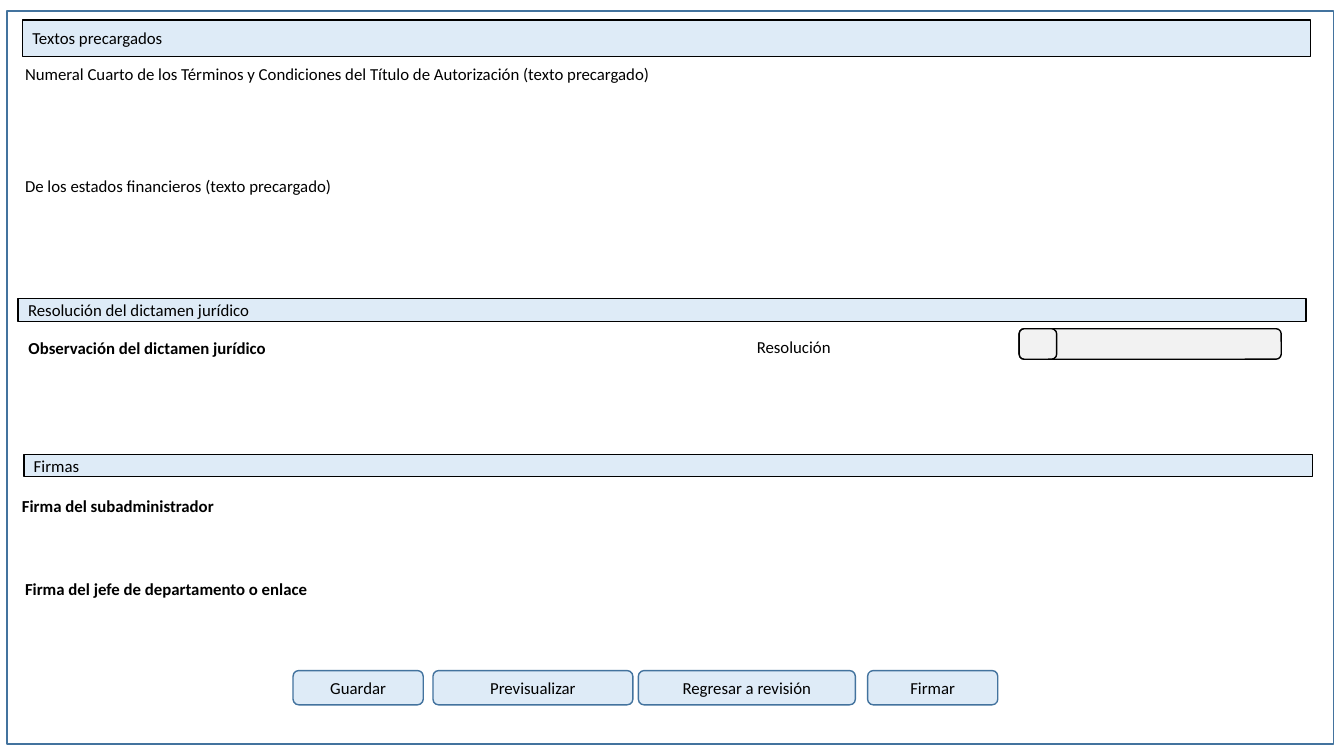
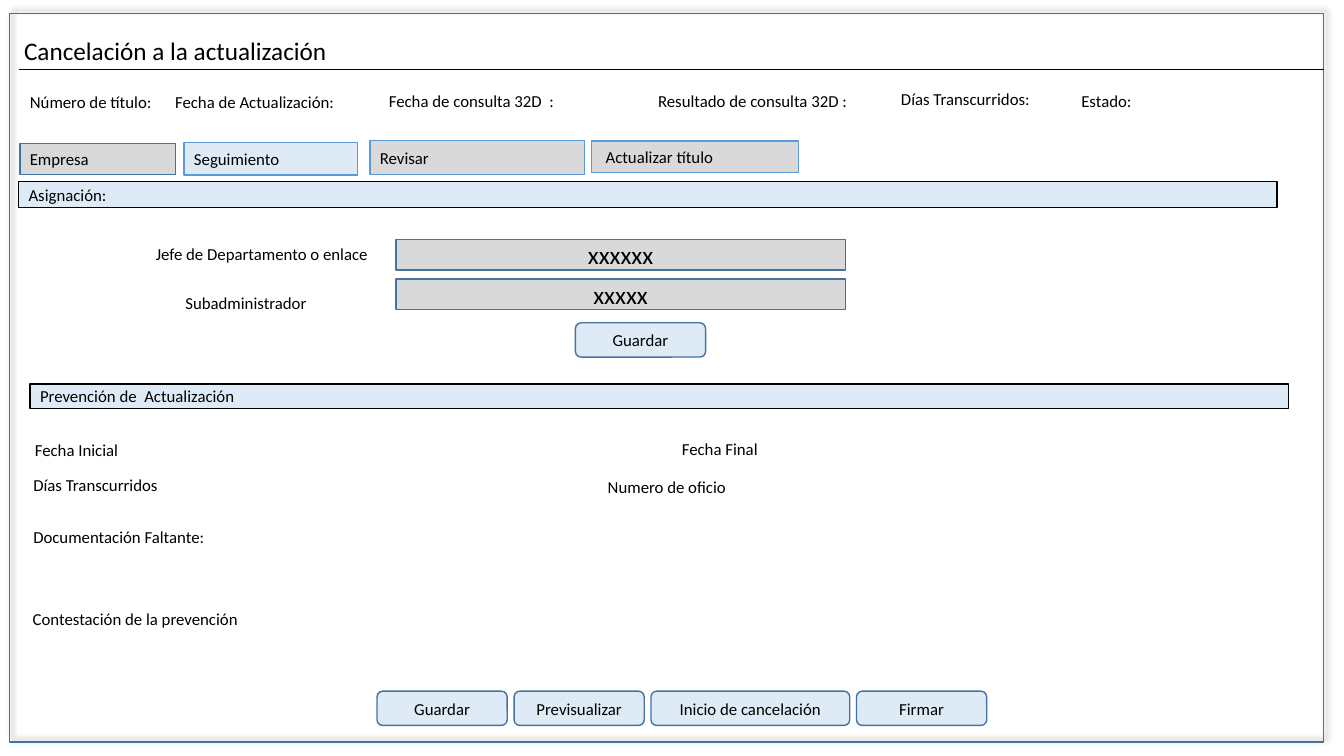
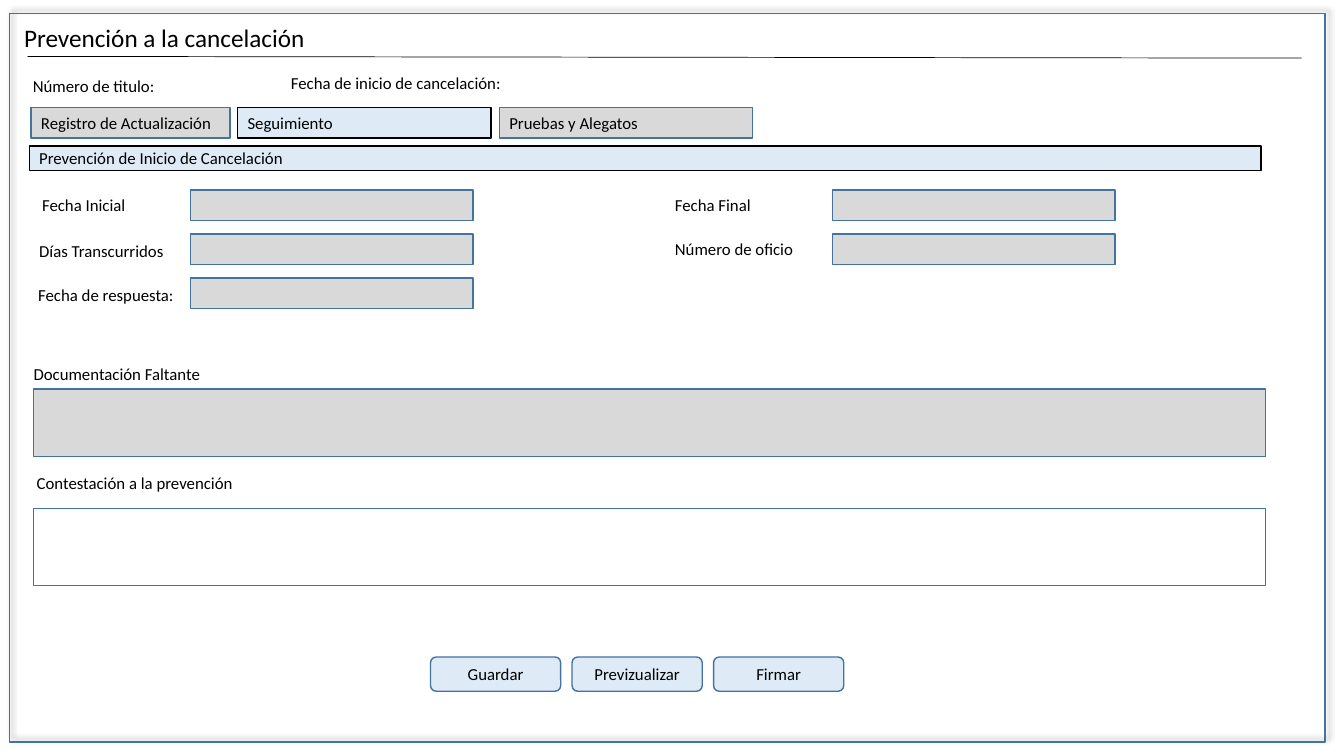
from dataclasses import dataclass
from typing import Iterable, Optional

from lxml import etree
from pptx import Presentation
from pptx.dml.color import RGBColor
from pptx.enum import shapes as kinds, text as styles
from pptx.oxml import ns
from pptx.util import Pt

COLORS = {
    "ink": "000000",
    "steel": "43739E",
    "sky": "5B9BD5",
    "pale": "DEEBF7",
    "gray": "D9D9D9",
    "light": "F2F2F2",
    "white": "FFFFFF",
}
FONT = "Calibri"
BODY = 12
HEADING = 18
BUTTON_WIDTH = 93
BUTTON_HEIGHT = 24.5
FIELD_HEIGHT = 21.8
TITLE_LAYOUT, BLANK_LAYOUT = 5, 6


@dataclass(frozen=True)
class Label:
    text: str
    left: float
    top: float
    width: float = 243
    bold: bool = False


@dataclass(frozen=True)
class Box:
    left: float
    top: float
    width: float
    height: float
    text: str = ""
    fill: Optional[str] = "gray"
    line: str = "steel"
    rounded: bool = False
    centered: bool = False
    size: float = BODY
    inset: float = 7.2


@dataclass(frozen=True)
class Button:
    text: str
    left: float
    width: float = BUTTON_WIDTH


def rgb(name: str) -> RGBColor:
    return RGBColor.from_string(COLORS[name])


def write(frame, words: str, size: float = BODY, bold: bool = False, centered: bool = False) -> None:
    frame.word_wrap = True
    frame.text = words
    paragraph = frame.paragraphs[0]
    paragraph.alignment = styles.PP_ALIGN.CENTER if centered else styles.PP_ALIGN.LEFT
    paragraph.font.name = FONT
    paragraph.font.size = Pt(size)
    paragraph.font.bold = bold
    paragraph.font.color.rgb = rgb("ink")


def draw_box(slide, box: Box):
    preset = kinds.MSO_SHAPE.ROUNDED_RECTANGLE if box.rounded else kinds.MSO_SHAPE.RECTANGLE
    shape = slide.shapes.add_shape(preset, Pt(box.left), Pt(box.top), Pt(box.width), Pt(box.height))
    shape.shadow.inherit = False
    if box.fill:
        shape.fill.solid()
        shape.fill.fore_color.rgb = rgb(box.fill)
    else:
        shape.fill.background()
    shape.line.color.rgb = rgb(box.line)
    shape.line.width = Pt(1)
    if box.text:
        shape.text_frame.margin_left = Pt(box.inset)
        shape.text_frame.vertical_anchor = styles.MSO_ANCHOR.MIDDLE
        write(shape.text_frame, box.text, box.size, centered=box.centered)
    return shape


def draw_boxes(slide, boxes: Iterable[Box]) -> None:
    for box in boxes:
        draw_box(slide, box)


def draw_labels(slide, labels: Iterable[Label]) -> None:
    for label in labels:
        holder = slide.shapes.add_textbox(Pt(label.left), Pt(label.top), Pt(label.width), Pt(21.8))
        write(holder.text_frame, label.text, bold=label.bold)


def draw_buttons(slide, top: float, buttons: Iterable[Button]) -> None:
    for button in buttons:
        draw_box(slide, Box(button.left, top, button.width, BUTTON_HEIGHT, button.text,
                            "pale", rounded=True, centered=True))


def band(text: str, left: float, top: float, width: float, height: float) -> Box:
    return Box(left, top, width, height, text, "pale", "ink")


def draw_window(slide, width: float) -> None:
    window = draw_box(slide, Box(7, 9.5, width, 520.5, fill=None))
    effects = window._element.spPr.find(ns.qn("a:effectLst"))
    shadow = etree.SubElement(effects, ns.qn("a:outerShdw"), blurRad=str(Pt(4)), dist=str(Pt(3)),
                              dir="18900000", algn="bl", rotWithShape="0")
    color = etree.SubElement(shadow, ns.qn("a:srgbClr"), val=COLORS["ink"])
    etree.SubElement(color, ns.qn("a:alpha"), val="40000")


def draw_heading(slide, words: str, top: float, rule: tuple[float, float, float, float]) -> None:
    title = slide.shapes.title
    title.left, title.top, title.width, title.height = Pt(10), Pt(top), Pt(368), Pt(29)
    title.text_frame.auto_size = styles.MSO_AUTO_SIZE.NONE
    title.text_frame.vertical_anchor = styles.MSO_ANCHOR.TOP
    write(title.text_frame, words, HEADING)
    line = slide.shapes.add_connector(kinds.MSO_CONNECTOR.STRAIGHT, *(Pt(value) for value in rule))
    line.line.color.rgb = rgb("ink")
    line.line.width = Pt(0.5)
    etree.SubElement(line._element.spPr, ns.qn("a:effectLst"))


def add_resolution(deck) -> None:
    slide = deck.slides.add_slide(deck.slide_layouts[BLANK_LAYOUT])
    draw_boxes(slide, [
        Box(5, 8, 947.5, 523.5, fill=None),
        band("Textos precargados", 16, 14.2, 920, 26),
        band("Resolución del dictamen jurídico", 13, 213.2, 920, 16.5),
        band("Firmas", 17, 324.7, 920.5, 15.8),
    ])
    draw_boxes(slide, [Box(728, 234.8, width, 21.8, fill="light", line="ink", rounded=True)
                       for width in (187.2, 26.8)])
    draw_labels(slide, [
        Label("Numeral Cuarto de los Términos y Condiciones del Título de Autorización (texto precargado)",
              10.8, 42, 714),
        Label("De los estados financieros (texto precargado)", 10.8, 122.3, 492),
        Label("Observación del dictamen jurídico", 13.3, 237.5, 199, True),
        Label("Resolución", 533.5, 237.2, 258),
        Label("Firma del subadministrador", 8.6, 350.7, 199, True),
        Label("Firma del jefe de departamento o enlace", 10.8, 410, 272, True),
    ])
    draw_buttons(slide, 479, [
        Button("Guardar", 209.3),
        Button("Previsualizar", 309.3, 142.8),
        Button("Regresar a revisión", 456, 155),
        Button("Firmar", 619.7),
    ])


def add_update_cancellation(deck) -> None:
    slide = deck.slides.add_slide(deck.slide_layouts[TITLE_LAYOUT])
    draw_window(slide, 938.5)
    draw_heading(slide, "Cancelación a la actualización", 21.8, (13.7, 49.7, 945.4, 49.7))
    draw_labels(slide, [
        Label("Número de título:", 14.3, 61.7, 122),
        Label("Fecha de Actualización:", 118, 62.2, 153),
        Label("Fecha de consulta 32D  :", 270.7, 61.4, 153),
        Label("Resultado de consulta 32D :", 463, 61.4, 153),
        Label("Días Transcurridos:", 636.5, 60, 153),
        Label("Estado:", 765.3, 61.4, 153),
        Label("Jefe de Departamento o enlace", 104.2, 170.7),
        Label("Subadministrador", 125.3, 205.2),
        Label("Fecha Inicial", 17.8, 310.5),
        Label("Fecha Final", 480, 309.6, 271),
        Label("Días Transcurridos", 16.7, 335.5),
        Label("Numero de oficio", 427, 337),
        Label("Documentación Faltante:", 16.7, 372.8, 288),
        Label("Contestación de la prevención", 16.3, 431.3, 288),
    ])
    draw_boxes(slide, [
        Box(14.2, 102.4, 111, 22.5, "Empresa"),
        Box(131.5, 102, 124, 23, "Seguimiento", "pale", "sky"),
        Box(264.3, 100.3, 153.4, 24.4, "Revisar", line="sky"),
        Box(422.6, 100.7, 148, 22.5, "Actualizar título", line="sky", inset=10),
        band("Asignación:", 13.3, 129.5, 899, 18.8),
        band("Prevención de  Actualización", 21.5, 274.4, 899, 17.2),
    ])
    draw_boxes(slide, [Box(282.8, 171 + 28.4 * row, 321, FIELD_HEIGHT, words, centered=True, size=HEADING)
                       for row, words in enumerate(("xxxxxx", "xxxxx"))])
    draw_buttons(slide, 230.6, [Button("Guardar", 411)])
    draw_buttons(slide, 493.7, [
        Button("Guardar", 269.3),
        Button("Previsualizar", 367.2),
        Button("Inicio de cancelación", 465, 142),
        Button("Firmar", 611.8),
    ])


def add_cancellation_notice(deck) -> None:
    slide = deck.slides.add_slide(deck.slide_layouts[TITLE_LAYOUT])
    draw_window(slide, 939.5)
    draw_heading(slide, "Prevención a la cancelación", 12.4, (19.6, 40.3, 929.8, 41.5))
    draw_labels(slide, [
        Label("Número de titulo:", 16.4, 50.7, 122),
        Label("Fecha de inicio de cancelación:", 200.7, 48.6, 209),
        Label("Fecha Inicial", 23, 135.5),
        Label("Días Transcurridos", 20.9, 168.2),
        Label("Fecha de respuesta:", 20.2, 200),
        Label("Fecha Final", 475, 135.5, 115),
        Label("Número de oficio", 475, 167.2),
        Label("Documentación Faltante", 16.9, 256, 288),
        Label("Contestación a la prevención", 19.1, 334, 288),
    ])
    draw_boxes(slide, [
        Box(22.2, 76.8, 142, 21.8, "Registro de Actualización"),
        Box(169.7, 76.8, 181, 21.8, "Seguimiento", "pale", "ink"),
        Box(356.7, 76.8, 181, 21.8, "Pruebas y Alegatos"),
        band("Prevención de Inicio de Cancelación", 20.9, 104.2, 880, 17.7),
        Box(23.8, 277.8, 880, 48.4),
        Box(23.8, 363.2, 880, 55, fill="white"),
    ])
    for left, rows in ((136, 3), (594.5, 2)):
        draw_boxes(slide, [Box(left, 135.7 + 31.4 * row, 202, FIELD_HEIGHT) for row in range(rows)])
    draw_buttons(slide, 469.3, [Button(words, 307.5 + 101.1 * index)
                                for index, words in enumerate(("Guardar", "Previzualizar", "Firmar"))])


def main() -> None:
    deck = Presentation()
    deck.slide_width, deck.slide_height = Pt(960), Pt(540)
    add_resolution(deck)
    add_update_cancellation(deck)
    add_cancellation_notice(deck)
    deck.save("out.pptx")


if __name__ == "__main__":
    main()
